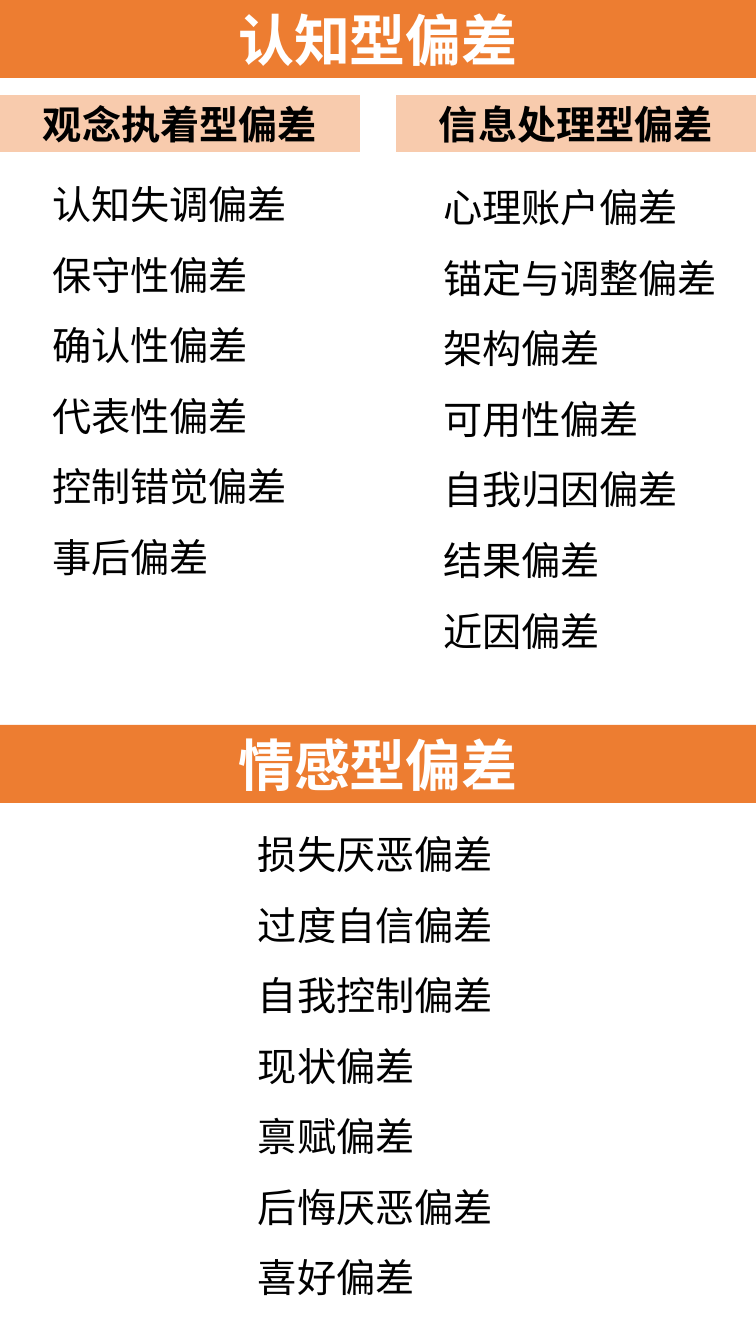
from pptx import Presentation
from pptx.dml.color import RGBColor
from pptx.enum.shapes import MSO_SHAPE
from pptx.enum.text import MSO_ANCHOR, MSO_AUTO_SIZE, PP_ALIGN
from pptx.oxml import parse_xml
from pptx.oxml.ns import nsdecls
from pptx.util import Pt

SCALE = 914400 / 100.8
PAGE_WIDTH, PAGE_HEIGHT = 756, 1344
COLORS = {"band": "ED7D31", "heading": "F8CBAD", "light": "FFFFFF", "dark": "000000"}
COMPARISON_LAYOUT = 4


def emu(pixels):
    """Turn whole pixels into EMU."""
    return round(pixels * SCALE)


def color(name):
    """Look up a palette colour."""
    return RGBColor.from_string(COLORS[name])


class BiasPage:
    """Holds the style and the slide being built."""

    font = "Noto Sans CJK SC"
    line_pitch = Pt(50.4)

    def __init__(self, deck):
        """Add a slide with a title and two headed lists."""
        self.page = deck.slides.add_slide(deck.slide_layouts[COMPARISON_LAYOUT])
        self.slots = {slot.placeholder_format.idx: slot for slot in self.page.placeholders}

    def place(self, slot, bounds):
        """Move and size a placeholder, then return it."""
        box = self.slots[slot]
        box.left, box.top, box.width, box.height = map(emu, bounds)
        return box

    def set_text(self, box, lines, size, ink, bold, align, anchor, pitch):
        """Fill a box with plain, unbulleted paragraphs."""
        frame = box.text_frame
        frame.text = "\n".join(lines)
        frame.word_wrap = True
        frame.auto_size = MSO_AUTO_SIZE.NONE
        frame.vertical_anchor = anchor
        for para in frame.paragraphs:
            para.alignment = align
            para.line_spacing = pitch
            para.space_before = Pt(0)
            para.font.size = Pt(size)
            para.font.bold = bold
            para.font.color.rgb = color(ink)
            para.font.name = self.font
            properties = para._p.get_or_add_pPr()
            properties.set("marL", "0")
            properties.set("indent", "0")
            default = properties.find("{*}defRPr")
            default.addprevious(parse_xml(f"<a:buNone {nsdecls('a')}/>"))
            latin = default.find("{*}latin")
            latin.addnext(parse_xml(f'<a:ea {nsdecls("a")} typeface="{self.font}"/>'))

    def banner(self, text, bounds, fill, size, ink, slot=None):
        """Add a filled bar with bold centred text."""
        if slot is None:
            box = self.page.shapes.add_shape(MSO_SHAPE.RECTANGLE, *map(emu, bounds))
            box.shadow.inherit = False
        else:
            box = self.place(slot, bounds)
        box.fill.solid()
        box.fill.fore_color.rgb = color(fill)
        box.line.fill.background()
        self.set_text(box, [text], size, ink, True, PP_ALIGN.CENTER, MSO_ANCHOR.MIDDLE, 1.0)

    def band(self, text, top, slot=None):
        """Add a full-width section band."""
        self.banner(text, (0, top, PAGE_WIDTH, 78), "band", 40, "light", slot)

    def heading(self, text, left, slot):
        """Add a column heading."""
        self.banner(text, (left, 95, 360, 57), "heading", 28, "dark", slot)

    def bias_list(self, lines, bounds, slot=None):
        """Add a list of biases, one a line."""
        if slot is None:
            box = self.page.shapes.add_textbox(*map(emu, bounds))
        else:
            box = self.place(slot, bounds)
        self.set_text(box, lines, 28, "dark", False, PP_ALIGN.LEFT, MSO_ANCHOR.TOP,
                      self.line_pitch)


def main():
    """Build and save the slide."""
    deck = Presentation()
    deck.slide_width, deck.slide_height = emu(PAGE_WIDTH), emu(PAGE_HEIGHT)
    page = BiasPage(deck)

    page.band("认知型偏差", 0, slot=0)
    page.heading("观念执着型偏差", 0, slot=1)
    page.bias_list(["认知失调偏差", "保守性偏差", "确认性偏差", "代表性偏差",
                    "控制错觉偏差", "事后偏差"], (42, 152, 299, 429), slot=2)
    page.heading("信息处理型偏差", 396, slot=3)
    page.bias_list(["心理账户偏差", "锚定与调整偏差", "架构偏差", "可用性偏差",
                    "自我归因偏差", "结果偏差", "近因偏差"], (433, 155, 323, 501), slot=4)

    page.band("情感型偏差", 725)
    page.bias_list(["损失厌恶偏差", "过度自信偏差", "自我控制偏差", "现状偏差",
                    "禀赋偏差", "后悔厌恶偏差", "喜好偏差"], (248, 802, 282, 501))
    deck.save("out.pptx")


main()
